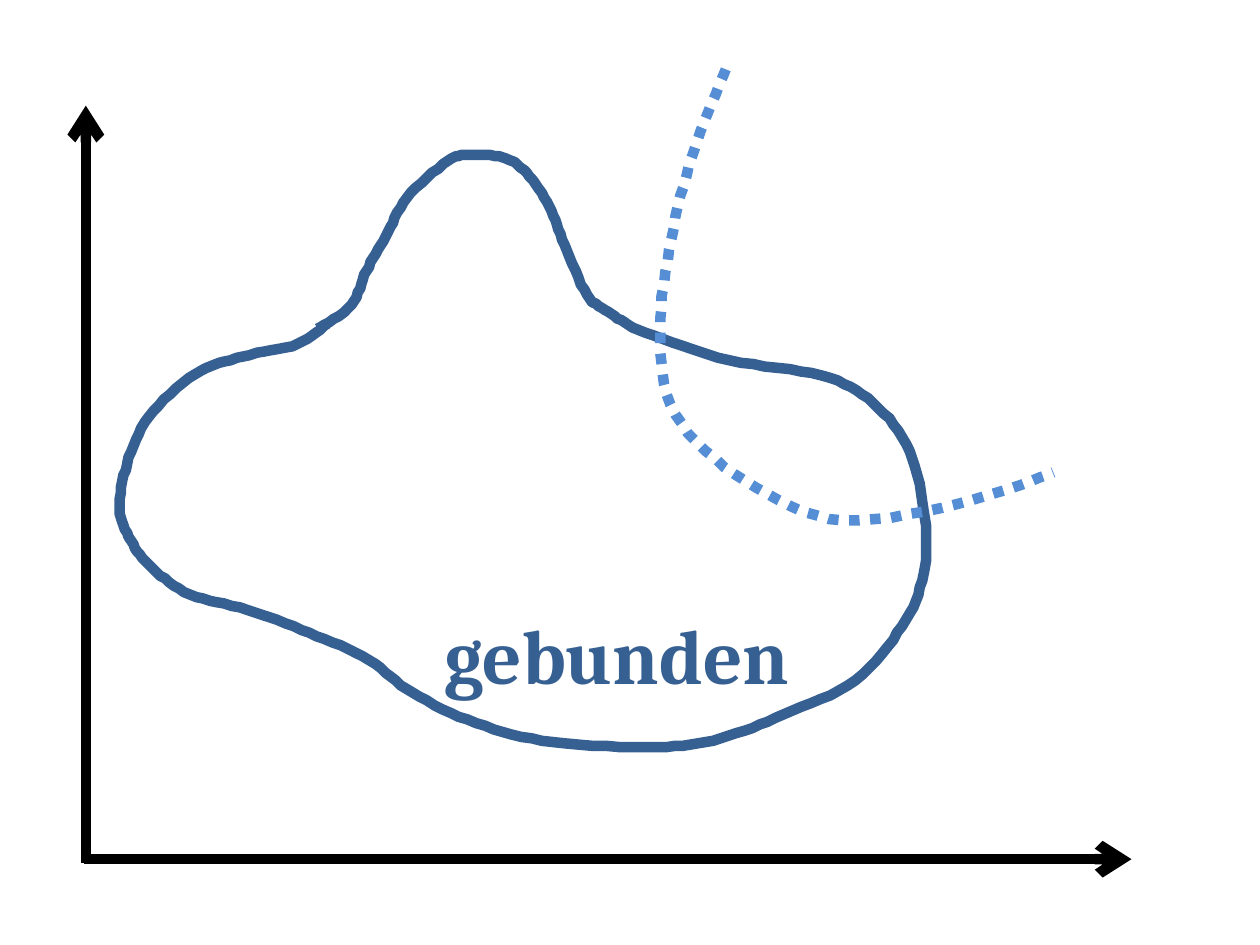
from lxml import etree
from pptx import Presentation
from pptx.dml.color import RGBColor
from pptx.enum.dml import MSO_LINE
from pptx.enum.shapes import MSO_CONNECTOR
from pptx.enum.text import MSO_ANCHOR, MSO_AUTO_SIZE
from pptx.oxml.ns import qn
from pptx.util import Cm, Pt

STRAIGHT = MSO_CONNECTOR.STRAIGHT
DOTTED = MSO_LINE.ROUND_DOT
TOP = MSO_ANCHOR.TOP
FIT_SHAPE = MSO_AUTO_SIZE.SHAPE_TO_FIT_TEXT

BLACK = RGBColor(0x00, 0x00, 0x00)
DARK_BLUE = RGBColor(0x37, 0x60, 0x92)
LIGHT_BLUE = RGBColor(0x55, 0x8E, 0xD5)

LINE_WIDTH = Pt(6)
OUTLINE_UNIT = Cm(2.54) / 100
CURVE_STEPS = 8

BOUND_REGION = [
    (252, 261), (279, 242), (291, 215), (306, 188), (323, 157), (355, 128),
    (373, 123), (399, 125), (418, 137), (436, 164), (448, 194), (466, 234),
    (485, 249), (512, 264), (579, 286), (652, 298), (693, 320), (722, 358),
    (734, 411), (733, 456), (716, 497), (679, 540), (622, 567), (572, 586),
    (521, 593), (439, 589), (378, 574), (328, 550), (293, 524), (245, 502),
    (196, 484), (151, 472), (121, 451), (104, 429), (95, 404), (101, 368),
    (118, 331), (155, 297), (193, 283), (236, 273), (260, 257),
]
DIVIDER = [
    (576, 55), (550, 122), (533, 189), (524, 262), (536, 329),
    (592, 382), (669, 413), (771, 397), (836, 375),
]


def smooth(knots):
    padded = [knots[0], *knots, knots[-1]]
    points = [knots[0]]
    for before, start, end, after in zip(padded, padded[1:], padded[2:], padded[3:]):
        for step in range(1, CURVE_STEPS + 1):
            t = step / CURVE_STEPS
            points.append(tuple(
                b + t * (c - a + t * (2 * a - 5 * b + 4 * c - d + t * (3 * (b - c) + d - a))) / 2
                for a, b, c, d in zip(before, start, end, after)
            ))
    return points


presentation = Presentation()
presentation.slide_width = Cm(25.4)
presentation.slide_height = Cm(19.05)
slide = presentation.slides.add_slide(presentation.slide_layouts[6])

axes = [(1.7, 17.32, 22.81, 17.32), (1.73, 17.4, 1.73, 2.13)]
for ends in axes:
    axis = slide.shapes.add_connector(STRAIGHT, *(Cm(end) for end in ends))
    axis.line.color.rgb = BLACK
    axis.line.width = LINE_WIDTH
    properties = axis._element.spPr
    etree.SubElement(properties.find(qn("a:ln")), qn("a:tailEnd"), type="arrow")
    etree.SubElement(properties, qn("a:effectLst"))

text_box = slide.shapes.add_textbox(Cm(8.71), Cm(12.12), Cm(8.03), Cm(2.13))
frame_format = {"word_wrap": False, "auto_size": FIT_SHAPE, "vertical_anchor": TOP}
for name, value in frame_format.items():
    setattr(text_box.text_frame, name, value)
run = text_box.text_frame.paragraphs[0].add_run()
run.text = "gebunden"
font_format = {"name": "Cambria", "size": Pt(44), "bold": True}
for name, value in font_format.items():
    setattr(run.font, name, value)
run.font.color.rgb = DARK_BLUE

outlines = [
    (BOUND_REGION, DARK_BLUE, {"width": LINE_WIDTH}),
    (DIVIDER, LIGHT_BLUE, {"width": LINE_WIDTH, "dash_style": DOTTED}),
]
for knots, color, line_format in outlines:
    points = smooth(knots)
    builder = slide.shapes.build_freeform(*points[0], scale=OUTLINE_UNIT)
    builder.add_line_segments(points[1:], close=False)
    shape = builder.convert_to_shape()
    shape.shadow.inherit = False
    shape.fill.background()
    shape.line.color.rgb = color
    for name, value in line_format.items():
        setattr(shape.line, name, value)

presentation.save("out.pptx")
